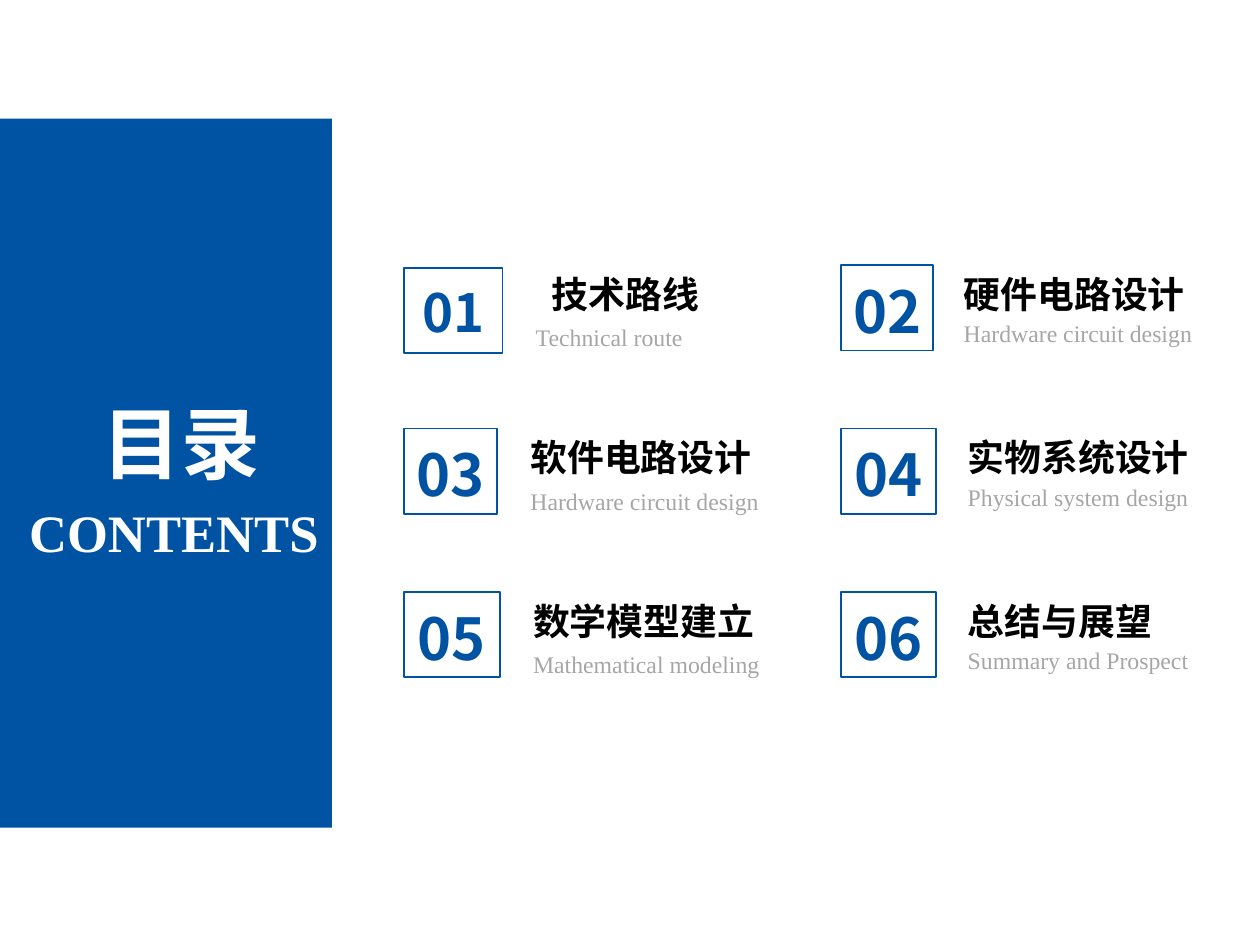
from pptx import Presentation
from pptx.dml.color import RGBColor
from pptx.enum.shapes import MSO_SHAPE
from pptx.enum.text import MSO_ANCHOR, MSO_AUTO_SIZE, PP_ALIGN
from pptx.oxml.ns import qn
from pptx.util import Inches, Pt
from lxml.etree import SubElement

HUES = {"blue": "0053A3", "white": "FFFFFF", "black": "000000", "gray": "A6A6A6"}
SANS, SERIF = "Noto Sans CJK SC", "Times New Roman"

deck = Presentation()
deck.slide_width, deck.slide_height = Inches(9.45), Inches(7.09)
slide = deck.slides.add_slide(deck.slide_layouts[5])
shapes = slide.shapes


def write(text, left, top, width, height, size, hue, font=SANS, bold=True,
          align=PP_ALIGN.LEFT, wrap=True, pad=0.1, shape=None):
    area = [Inches(n) for n in (left, top, width, height)]
    box = shape or shapes.add_textbox(*area)
    box.left, box.top, box.width, box.height = area
    frame = box.text_frame
    frame.auto_size = MSO_AUTO_SIZE.NONE
    frame.word_wrap = wrap
    frame.vertical_anchor = MSO_ANCHOR.TOP
    frame.margin_left = Inches(pad)
    para = frame.paragraphs[0]
    para.alignment = align
    run = para.add_run()
    run.text = text
    run.font.size, run.font.bold, run.font.name = Pt(size), bold, font
    run.font.color.rgb = RGBColor.from_string(HUES[hue])
    SubElement(run.font._element, qn("a:ea")).set("typeface", font)


# Blue side panel, set behind the title
panel = shapes.add_shape(MSO_SHAPE.RECTANGLE, 0, Inches(0.89), Inches(2.49), Inches(5.32))
panel.shadow.inherit = False
panel.fill.solid()
panel.fill.fore_color.rgb = RGBColor.from_string(HUES["blue"])
panel.line.fill.background()
shapes.title._element.addprevious(panel._element)

# Headings on the panel
write("目录", 0.25, 2.91, 1.8, 0.82, 42.5, "white", align=PP_ALIGN.RIGHT, shape=shapes.title)
write("CONTENTS", -0.01, 3.7, 2.5, 0.58, 28.4, "white", font=SERIF, align=PP_ALIGN.RIGHT)

# Six topics: heading, gloss, frame width, text left
topics = [
    ("技术路线", "Technical route", 0.74, 3.92),
    ("硬件电路设计", "Hardware circuit design", 0.69, 7.13),
    ("软件电路设计", "Hardware circuit design", 0.7, 3.88),
    ("实物系统设计", "Physical system design", 0.71, 7.16),
    ("数学模型建立", "Mathematical modeling", 0.72, 3.9),
    ("总结与展望", "Summary and Prospect", 0.71, 7.16),
]
for i, (name, gloss, wide, left) in enumerate(topics):
    row, col = divmod(i, 2)
    x, y = (3.03, 6.31)[col], 1.99 + 1.225 * row
    first = i == 0

    # Heading and gloss
    write(name, left, y, 2.07, 0.43, 19.9, "black", pad=0.22 if first else 0.1)
    write(gloss, left, y + (0.385, 0.355)[col], 2.07, 0.32, 12.8, "gray",
          font=SERIF, bold=False)

    # Number and its frame
    write(f"{i + 1:02}", x - 0.03, y + (0.06 if first else 0.03), wide + 0.06, 0.6,
          28.4 if first else 31.2, "blue", align=PP_ALIGN.CENTER, wrap=False)
    edge = shapes.add_shape(MSO_SHAPE.RECTANGLE, Inches(x), Inches(y + 0.02 * first),
                            Inches(wide), Inches(0.64))
    edge.shadow.inherit = False
    edge.fill.background()
    edge.line.color.rgb = RGBColor.from_string(HUES["blue"])
    edge.line.width = Pt(1)

deck.save("out.pptx")
